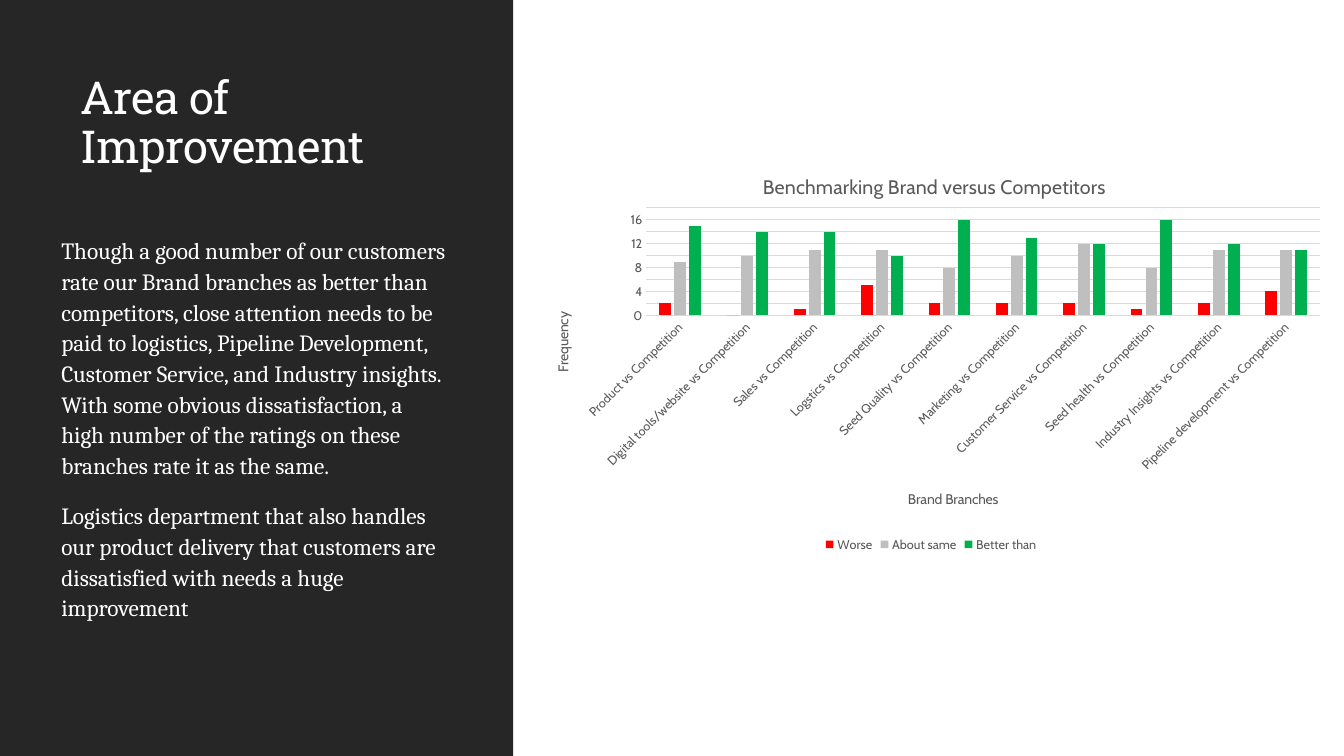
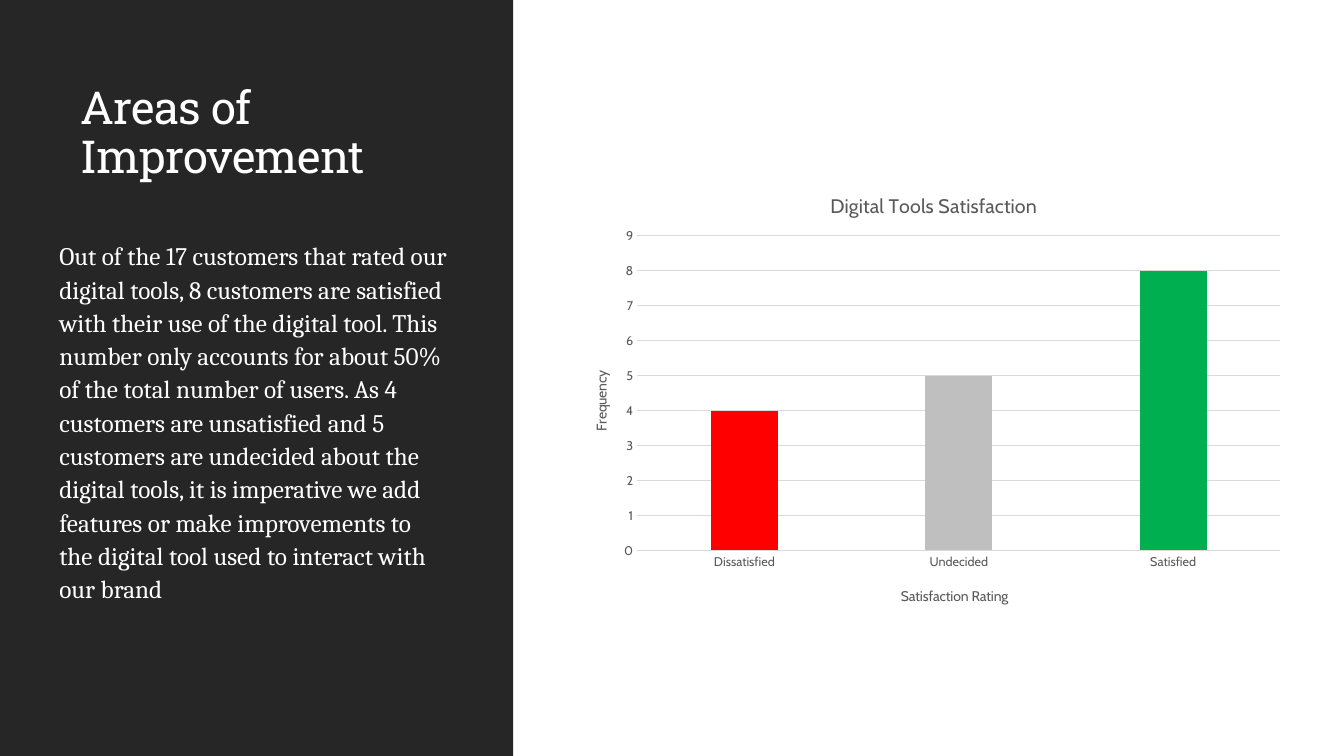
from pptx import Presentation
from pptx.chart.data import CategoryChartData
from pptx.dml.color import RGBColor
from pptx.enum.chart import XL_CHART_TYPE as ChartType
from pptx.enum.chart import XL_LEGEND_POSITION as LegendPosition
from pptx.enum.chart import XL_TICK_MARK as TickMark
from pptx.enum.shapes import MSO_SHAPE as Shape
from pptx.enum.text import MSO_ANCHOR as Anchor
from pptx.oxml import parse_xml
from pptx.oxml.ns import nsdecls, qn
from pptx.util import Inches, Pt

# Colours and fonts
WHITE = RGBColor(0xFF, 0xFF, 0xFF)
PANEL = RGBColor(0x26, 0x26, 0x26)
CHART_TEXT = RGBColor(0x59, 0x59, 0x59)
GRID = RGBColor(0xD9, 0xD9, 0xD9)
RED = RGBColor(0xFF, 0x00, 0x00)
GRAY = RGBColor(0xBF, 0xBF, 0xBF)
GREEN = RGBColor(0x00, 0xB0, 0x50)
TITLE_FONT, BODY_FONT, CHART_FONT = "Roboto Slab", "Cambria", "Cabin"


def style_font(font, name, size, color):
    font.name, font.size, font.bold = name, Pt(size), False
    font.color.rgb = color


def paint(fill, color):
    fill.solid()
    fill.fore_color.rgb = color


def set_layout(holder, index, **fractions):
    """Place a chart part by fractions of the chart's frame."""
    old = holder.find(qn("c:layout"))
    if old is not None:
        holder.remove(old)
    target = '<c:layoutTarget val="inner"/>' if "w" in fractions else ""
    modes = '<c:xMode val="edge"/><c:yMode val="edge"/>'
    values = "".join(f'<c:{key} val="{value:.4f}"/>' for key, value in fractions.items())
    holder.insert(index, parse_xml(
        f'<c:layout {nsdecls("c")}><c:manualLayout>{target}{modes}{values}'
        "</c:manualLayout></c:layout>"))


class SplitDeck:
    """Slides with a dark text panel on the left and a chart on the right."""

    def __init__(self):
        self.deck = Presentation()
        self.deck.slide_width, self.deck.slide_height = Inches(13.33), Inches(7.5)
        self.page = None

    def add_page(self):
        self.page = self.deck.slides.add_slide(self.deck.slide_layouts[6])
        panel = self.page.shapes.add_shape(
            Shape.RECTANGLE, 0, 0, Inches(5.09), self.deck.slide_height)
        panel.shadow.inherit = False
        paint(panel.fill, PANEL)
        panel.line.fill.background()

    def add_text_box(self, area):
        box = self.page.shapes.add_textbox(*map(Inches, area))
        box.text_frame.word_wrap = True
        return box.text_frame

    def add_title(self, text, height):
        frame = self.add_text_box((0.7, 0.86, 3.85, height))
        frame.vertical_anchor = Anchor.BOTTOM
        para = frame.paragraphs[0]
        para.line_spacing = 0.9
        span = para.add_run()
        span.text = text
        span._r.get_or_add_rPr().set("spc", "-50")
        style_font(para.font, TITLE_FONT, 32.4, WHITE)

    def add_body(self, texts, area, size):
        frame = self.add_text_box(area)
        for number, text in enumerate(texts):
            para = frame.add_paragraph() if number else frame.paragraphs[0]
            para.text = text
            para.line_spacing = 1.1
            para.space_before = Pt(12 if number else 0)
            para.space_after = Pt(2)
            style_font(para.font, BODY_FONT, size, WHITE)

    def add_chart(self, area, plot, categories, series):
        """Add a column chart; area and plot are slide positions in inches."""
        data = CategoryChartData()
        data.categories = categories
        for name, values, _ in series:
            data.add_series(name, values)
        chart = self.page.shapes.add_chart(
            ChartType.COLUMN_CLUSTERED, *map(Inches, area), data).chart
        style_font(chart.font, CHART_FONT, 10, CHART_TEXT)
        chart.has_legend = False
        columns = chart.plots[0]
        columns.gap_width, columns.overlap = 219, -27
        columns.vary_by_categories = False
        for item, (_, _, color) in zip(columns.series, series):
            paint(item.format.fill, color)
        left, top, width, height = area
        set_layout(chart._chartSpace.chart.plotArea, 0,
                   x=(plot[0] - left) / width, y=(plot[1] - top) / height,
                   w=plot[2] / width, h=plot[3] / height)
        return chart

    def style_axes(self, chart, maximum, step):
        for axis in (chart.category_axis, chart.value_axis):
            axis.major_tick_mark = axis.minor_tick_mark = TickMark.NONE
            style_font(axis.tick_labels.font, CHART_FONT, 9, CHART_TEXT)
        lines = chart.value_axis.major_gridlines.format.line
        for line in (chart.category_axis.format.line, lines):
            line.color.rgb, line.width = GRID, Pt(0.75)
        axis = chart.value_axis
        axis.format.line.fill.background()
        axis.minimum_scale, axis.maximum_scale, axis.major_unit = 0, maximum, step

    def add_chart_titles(self, chart, area, titles):
        """Titles are (text, left, top) for the chart, category and value axis."""
        holders = (chart.chart_title, chart.category_axis.axis_title,
                   chart.value_axis.axis_title)
        for holder, size, (text, left, top) in zip(holders, (14, 10, 10), titles):
            para = holder.text_frame.paragraphs[0]
            para.text = text
            style_font(para.font, CHART_FONT, size, CHART_TEXT)
            set_layout(holder._element, 1,
                       x=(left - area[0]) / area[2], y=(top - area[1]) / area[3])
        body = holders[2].text_frame._txBody.bodyPr
        body.set("rot", "-5400000")
        body.set("vert", "horz")

    def add_legend(self, chart):
        chart.has_legend = True
        chart.legend.position = LegendPosition.BOTTOM
        chart.legend.include_in_layout = False
        style_font(chart.legend.font, CHART_FONT, 9, CHART_TEXT)


def build_benchmark(slides):
    slides.add_page()
    slides.add_title("Area of Improvement", 0.91)
    slides.add_body([
        "Though a good number of our customers rate our Brand branches as better than "
        "competitors, close attention needs to be paid to logistics, Pipeline Development, "
        "Customer Service, and Industry insights. With some obvious dissatisfaction, a high "
        "number of the ratings on these branches rate it as the same.",
        "Logistics department that also handles our product delivery that customers are "
        "dissatisfied with needs a huge improvement",
    ], (0.51, 2.27, 4.04, 4.41), 16.6)

    # Benchmark chart
    branches = ["Product", "Digital tools/website", "Sales", "Logstics", "Seed Quality",
                "Marketing", "Customer Service", "Seed health", "Industry Insights",
                "Pipeline development"]
    area = (5.22, 1.5, 8.03, 4.02)
    chart = slides.add_chart(
        area, (6.41, 2.06, 6.68, 1.07),
        [f"{branch} vs Competition" for branch in branches],
        [("Worse", (2, 0, 1, 5, 2, 2, 2, 1, 2, 4), RED),
         ("About same", (9, 10, 11, 11, 8, 10, 12, 8, 11, 11), GRAY),
         ("Better than", (15, 14, 14, 10, 16, 13, 12, 16, 12, 11), GREEN)])
    slides.style_axes(chart, 18, 2)
    chart.category_axis._element.txPr.bodyPr.set("rot", "-2700000")
    slides.add_chart_titles(chart, area, [
        ("Benchmarking Brand versus Competitors", 7.53, 1.68),
        ("Brand Branches", 8.98, 4.83), ("Frequency", 5.46, 3.07)])
    slides.add_legend(chart)


def build_satisfaction(slides):
    slides.add_page()
    slides.add_title("Areas of Improvement", 1.01)
    slides.add_body([
        "Out of the 17 customers that rated our digital tools, 8 customers are satisfied with "
        "their use of the digital tool. This number only accounts for about 50% of the total "
        "number of users. As 4 customers are unsatisfied and 5 customers are undecided about "
        "the digital tools, it is imperative we add features or make improvements to the "
        "digital tool used to interact with our brand",
    ], (0.49, 2.31, 4.06, 4.37), 18)

    # Satisfaction chart
    area = (5.61, 1.68, 7.23, 4.5)
    chart = slides.add_chart(
        area, (6.32, 2.34, 6.38, 3.12), ["Dissatisfied", "Undecided", "Satisfied"],
        [("Series 1", (4, 5, 8), GREEN)])
    for number, color in enumerate((RED, GRAY)):
        paint(chart.plots[0].series[0].points[number].format.fill, color)
    slides.style_axes(chart, 9, 1)
    slides.add_chart_titles(chart, area, [
        ("Digital Tools Satisfaction", 8.2, 1.87),
        ("Satisfaction Rating", 8.91, 5.79), ("Frequency", 5.84, 3.65)])


def main():
    slides = SplitDeck()
    build_benchmark(slides)
    build_satisfaction(slides)
    slides.deck.save("out.pptx")


if __name__ == "__main__":
    main()
